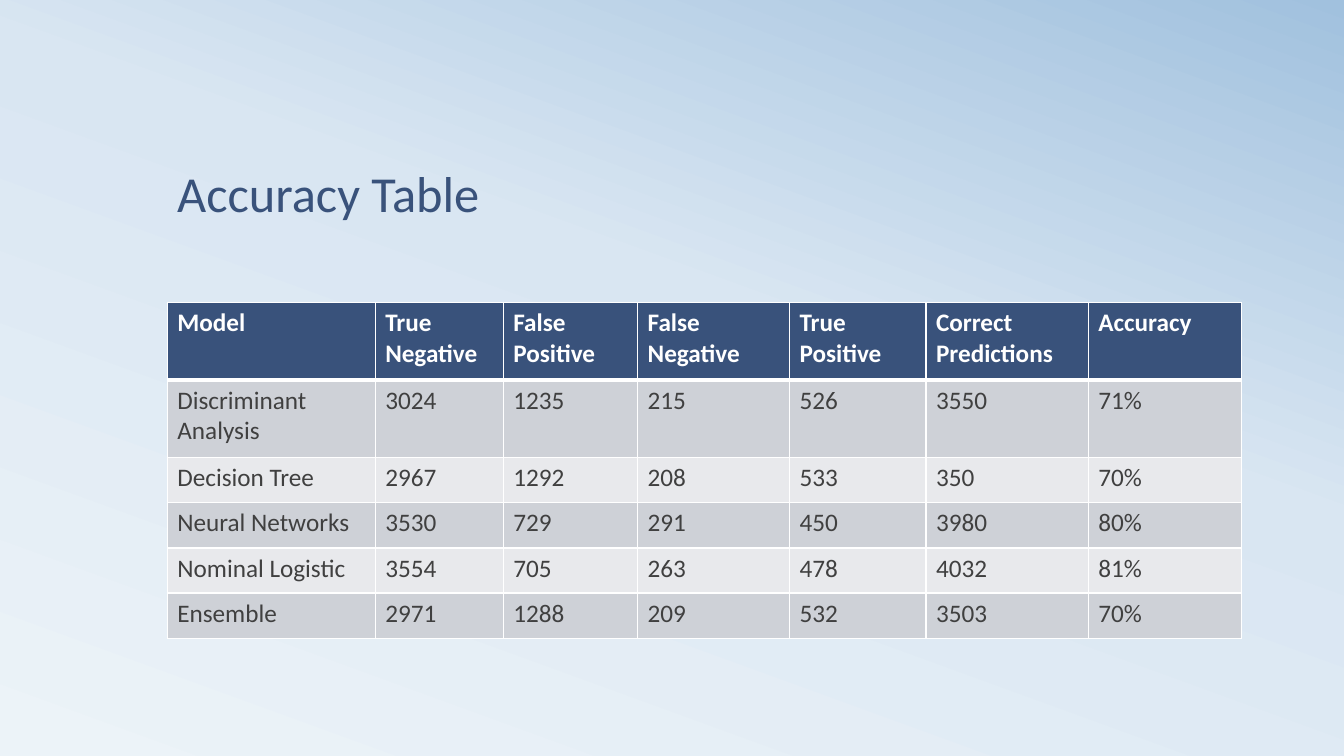
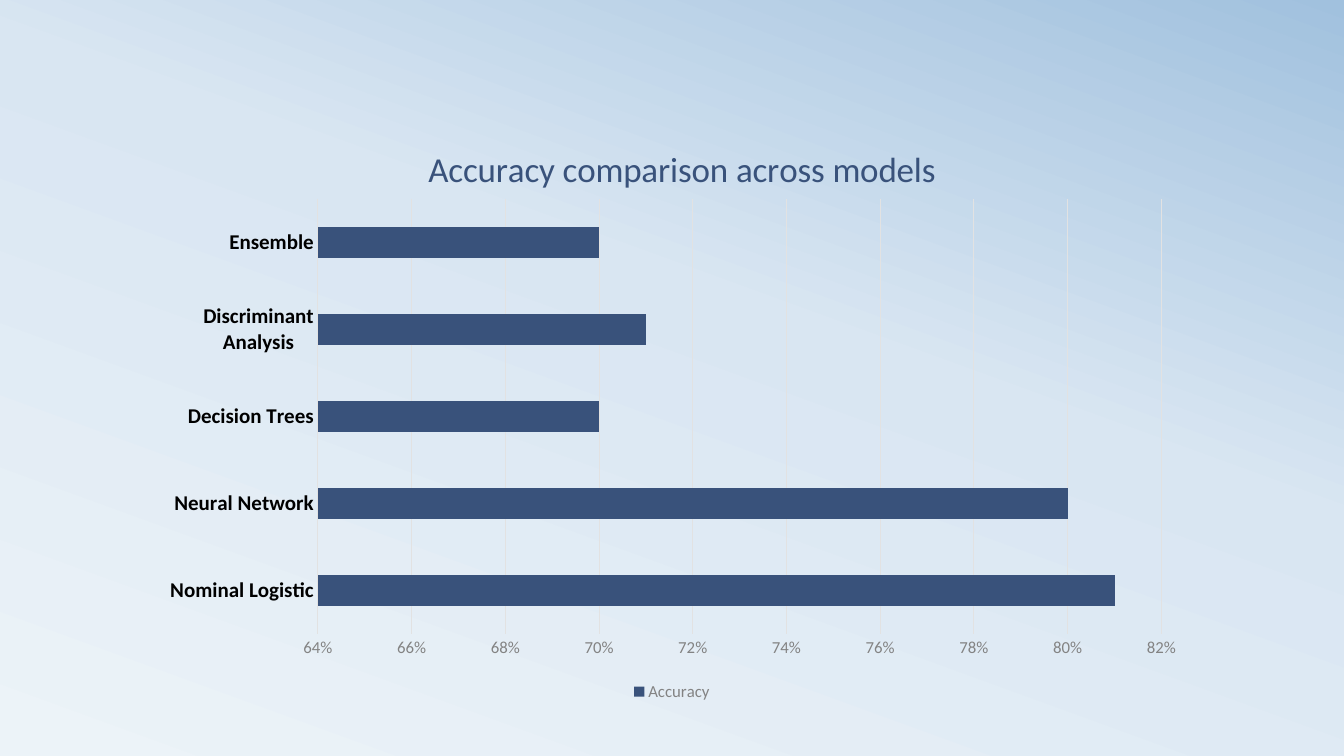
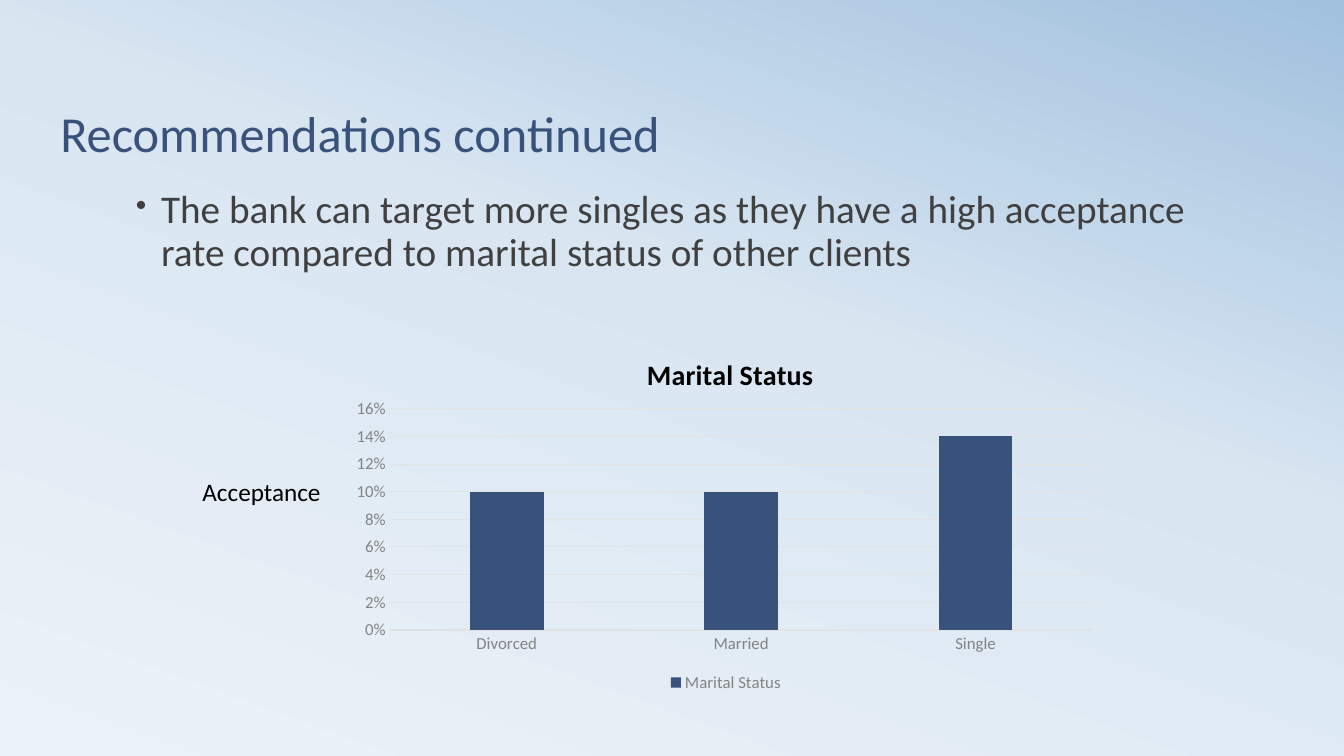
from lxml import etree
from pptx import Presentation
from pptx.chart.data import CategoryChartData
from pptx.dml.color import RGBColor
from pptx.enum.chart import XL_CHART_TYPE, XL_LEGEND_POSITION, XL_TICK_MARK
from pptx.enum.text import MSO_ANCHOR
from pptx.oxml.ns import qn
from pptx.util import Pt

FONT = "Calibri"
COLORS = {
    "navy": "39527B",
    "body": "404040",
    "label": "838383",
    "black": "000000",
    "white": "FFFFFF",
    "grid": "E2E2E2",
    "dark_band": "CED1D7",
    "light_band": "E8E9EC",
}
BACKGROUND_STOPS = [(0, "ECF3F8"), (58, "D9E6F2"), (100, "A1C1DE")]
BACKGROUND_ANGLE = 290

COLUMN_WIDTHS = [148.5, 91.5, 96, 108.5, 97.5, 116, 109.5]
ROW_HEIGHTS = [55.5, 55.5] + [32.25] * 4
ACCURACY_ROWS = [
    ["Model", "True Negative", "False Positive", "False Negative",
     "True Positive", "Correct Predictions", "Accuracy"],
    ["Discriminant Analysis", "3024", "1235", "215", "526", "3550", "71%"],
    ["Decision Tree", "2967", "1292", "208", "533", "350", "70%"],
    ["Neural Networks", "3530", "729", "291", "450", "3980", "80%"],
    ["Nominal Logistic", "3554", "705", "263", "478", "4032", "81%"],
    ["Ensemble", "2971", "1288", "209", "532", "3503", "70%"],
]


def rgb(name):
    return RGBColor.from_string(COLORS[name])


def add_xml(parent, tag, **attributes):
    return etree.SubElement(parent, qn(tag), attributes)


def style_font(font, size, color, bold=False):
    font.name = FONT
    font.size = Pt(size)
    font.bold = bold
    font.color.rgb = rgb(color)


def add_run(paragraph, text, size, color, bold=False):
    run = paragraph.add_run()
    run.text = text
    style_font(run.font, size, color, bold)


def set_background(master):
    master.background.fill.gradient()
    gradient = master.element.find(".//" + qn("a:gradFill"))
    for child in list(gradient):
        gradient.remove(child)
    stops = add_xml(gradient, "a:gsLst")
    for position, color in BACKGROUND_STOPS:
        stop = add_xml(stops, "a:gs", pos=str(position * 1000))
        add_xml(stop, "a:srgbClr", val=color)
    add_xml(gradient, "a:lin", ang=str(BACKGROUND_ANGLE * 60000), scaled="0")


def add_text(slide, box, text, size, color, anchor=MSO_ANCHOR.TOP):
    """Add a one-paragraph text box and return the paragraph."""
    frame = slide.shapes.add_textbox(*map(Pt, box)).text_frame
    frame.word_wrap = True
    frame.vertical_anchor = anchor
    paragraph = frame.paragraphs[0]
    add_run(paragraph, text, size, color)
    return paragraph


def add_title(slide, box, text):
    title = add_text(slide, box, text, 36, "navy", MSO_ANCHOR.BOTTOM)
    title.line_spacing = 0.8


def add_bullet(slide, box, text):
    bullet = add_text(slide, box, text, 28, "body")
    bullet.line_spacing = 0.9
    bullet.space_before = Pt(18)
    properties = bullet._p.get_or_add_pPr()
    properties.set("marL", str(Pt(18)))
    properties.set("indent", str(-Pt(18)))
    add_xml(add_xml(properties, "a:buClr"), "a:srgbClr", val=COLORS["body"])
    add_xml(properties, "a:buSzPct", val="80000")
    add_xml(properties, "a:buChar", char="•")


def set_borders(cell, top, bottom):
    properties = cell._tc.get_or_add_tcPr()
    sides = [("a:lnL", 1), ("a:lnR", 1), ("a:lnT", top), ("a:lnB", bottom)]
    for tag, width in sides:
        line = add_xml(properties, tag, w=str(Pt(width)))
        add_xml(add_xml(line, "a:solidFill"), "a:srgbClr", val=COLORS["white"])


def add_accuracy_table(slide, left, top):
    table = slide.shapes.add_table(
        len(ROW_HEIGHTS), len(COLUMN_WIDTHS), Pt(left), Pt(top),
        Pt(sum(COLUMN_WIDTHS)), Pt(sum(ROW_HEIGHTS))).table
    table.horz_banding = False
    for column, width in zip(table.columns, COLUMN_WIDTHS):
        column.width = Pt(width)
    for r, (height, values) in enumerate(zip(ROW_HEIGHTS, ACCURACY_ROWS)):
        table.rows[r].height = Pt(height)
        header = r == 0
        band = "navy" if header else "dark_band" if r % 2 else "light_band"
        for c, value in enumerate(values):
            cell = table.cell(r, c)
            set_borders(cell, 3 if r == 1 else 1, 3 if header else 1)
            cell.fill.solid()
            cell.fill.fore_color.rgb = rgb(band)
            add_run(cell.text_frame.paragraphs[0], value, 18,
                    "white" if header else "body", header)


def make_layout(**fractions):
    """Build a manual chart layout from fractions of the chart's size."""
    layout = etree.Element(qn("c:layout"))
    manual = add_xml(layout, "c:manualLayout")
    if "w" in fractions:
        add_xml(manual, "c:layoutTarget", val="inner")
    for axis in "xy":
        add_xml(manual, f"c:{axis}Mode", val="edge")
    for key, fraction in fractions.items():
        add_xml(manual, f"c:{key}", val=str(fraction))
    return layout


def drop_layout(element):
    for layout in element.findall(qn("c:layout")):
        element.remove(layout)


def set_chart_title(chart, text, size, color, bold, x, y):
    title = chart.chart_title
    add_run(title.text_frame.paragraphs[0], text, size, color, bold)
    element = title._element
    drop_layout(element)
    element.find(qn("c:tx")).addnext(make_layout(x=x, y=y))


def style_line(line, color):
    line.color.rgb = rgb(color)
    line.width = Pt(0.75)


def style_axes(chart, low, high, category_font):
    categories, values = chart.category_axis, chart.value_axis
    for axis in (categories, values):
        axis.major_tick_mark = axis.minor_tick_mark = XL_TICK_MARK.NONE
    style_font(categories.tick_labels.font, *category_font)
    style_line(categories.format.line, "grid")
    style_font(values.tick_labels.font, 12, "label")
    values.tick_labels.number_format = "0%"
    values.tick_labels.number_format_is_linked = False
    values.minimum_scale, values.maximum_scale = low, high
    values.major_unit = 0.02
    values.format.line.fill.background()
    values.has_major_gridlines = True
    style_line(values.major_gridlines.format.line, "grid")


def add_bar_chart(slide, box, kind, series_name, points, plot_area, gap,
                  overlap=0, scale=(0, 1), category_font=(12, "label")):
    data = CategoryChartData(number_format="0%")
    data.categories = list(points)
    data.add_series(series_name, points.values())
    chart = slide.shapes.add_chart(kind, *map(Pt, box), data).chart
    style_font(chart.font, 10, "body")
    style_axes(chart, *scale, category_font)

    plot = chart.plots[0]
    plot.vary_by_categories = False
    plot.gap_width = gap
    plot.overlap = overlap
    bars = plot.series[0].format.fill
    bars.solid()
    bars.fore_color.rgb = rgb("navy")

    chart.has_legend = True
    chart.legend.position = XL_LEGEND_POSITION.BOTTOM
    chart.legend.include_in_layout = False
    style_font(chart.legend.font, 12, "label")

    area = chart._chartSpace.find(".//" + qn("c:plotArea"))
    drop_layout(area)
    area.insert(0, make_layout(**plot_area))
    return chart


def build_accuracy_table(slide):
    add_title(slide, (119.5, 108, 648, 54.5), "Accuracy Table")
    add_accuracy_table(slide, 119.5, 216)


def build_accuracy_comparison(slide):
    accuracy = {"Nominal Logistic": 0.81, "Neural Network": 0.8,
                "Decision Trees": 0.7, "Discriminant Analysis": 0.71,
                "Ensemble": 0.7}
    chart = add_bar_chart(
        slide, (108, 78, 744, 426), XL_CHART_TYPE.BAR_CLUSTERED,
        "Accuracy", accuracy, dict(x=0.16, y=0.15, w=0.81, h=0.73), gap=182,
        scale=(0.64, 0.82), category_font=(15, "black", True))
    set_chart_title(chart, "Accuracy comparison across models",
                    25, "navy", False, x=0.26, y=0.05)


def build_recommendations(slide):
    add_title(slide, (36, 60.5, 648, 59), "Recommendations continued")
    add_bullet(slide, (90, 132, 810, 84),
               "The bank can target more singles as they have a high "
               "acceptance rate compared to marital status of other clients")
    acceptance = {"Divorced": 0.1, "Married": 0.1, "Single": 0.14}
    chart = add_bar_chart(
        slide, (245.5, 234, 546, 263.5), XL_CHART_TYPE.COLUMN_CLUSTERED,
        "Marital Status", acceptance, dict(x=0.06, y=0.22, w=0.92, h=0.6),
        gap=219, overlap=-27, scale=(0, 0.16))
    set_chart_title(chart, "Marital Status", 20, "black", True, x=0.39, y=0.06)
    add_text(slide, (137.5, 337, 108, 29), "Acceptance", 18, "black")


def main():
    deck = Presentation()
    deck.slide_width, deck.slide_height = Pt(960), Pt(540)
    set_background(deck.slide_master)
    for build in (build_accuracy_table, build_accuracy_comparison,
                  build_recommendations):
        build(deck.slides.add_slide(deck.slide_layouts[6]))
    deck.save("out.pptx")


if __name__ == "__main__":
    main()
